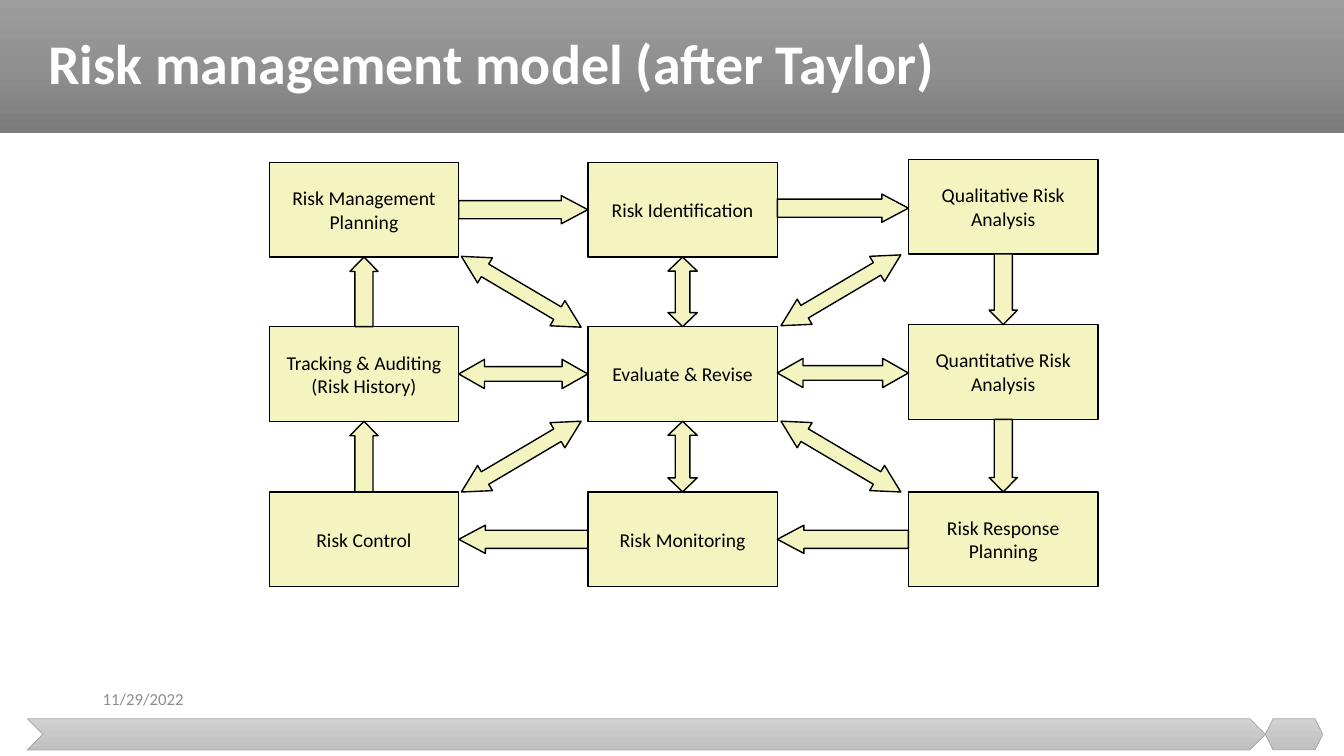
import copy
import math

import pptx
import pptx.dml.color
import pptx.enum.shapes
import pptx.enum.text
import pptx.oxml.ns
import pptx.util

Inches = pptx.util.Inches
Pt = pptx.util.Pt
SHAPE = pptx.enum.shapes.MSO_SHAPE
ALIGN = pptx.enum.text.PP_ALIGN
MIDDLE = pptx.enum.text.MSO_ANCHOR.MIDDLE

COLOURS = {
    "node": "F3F4C0",
    "ink": "000000",
    "title": "FFFFFF",
    "date": "8C8C8C",
    "footer_line": "A5A5A5",
}
BAND_STOPS = ("9D9D9D", "909090", "7C7C7C")
FOOTER_STOPS = ("D2D2D2", "C8C8C8", "C0C0C0")
FOOTER_TOP, DATE_HEIGHT = 7.13, 0.4

NODE_WIDTH, NODE_HEIGHT = 1.88, 0.94
NODES = {
    "Risk Management Planning": (2.67, 1.61),
    "Risk Identification": (5.83, 1.61),
    "Qualitative Risk Analysis": (9.01, 1.58),
    "Quantitative Risk Analysis": (9.01, 3.22),
    "Risk Response Planning": (9.01, 4.88),
    "Risk Monitoring": (5.83, 4.88),
    "Risk Control": (2.67, 4.88),
    "Tracking & Auditing (Risk History)": (2.67, 3.24),
}
HUB = "Evaluate & Revise"
HUB_PLACE = (5.83, 3.24)
DIAGONAL_LENGTH, DIAGONAL_ANGLE, DIAGONAL_SHIFT = 1.38, 30.6, -0.02


def rgb(value):
    return pptx.dml.color.RGBColor.from_string(value)


def format_text(box, size, colour, align, bold=False):
    frame = box.text_frame
    frame.word_wrap = True
    frame.vertical_anchor = MIDDLE
    for para in frame.paragraphs:
        para.alignment = align
        for span in para.runs:
            span.font.name = "Calibri"
            span.font.size = Pt(size)
            span.font.bold = bold
            span.font.color.rgb = rgb(colour)


def add_outlined(page, kind, place, line=None, width=1):
    shape = page.shapes.add_shape(kind, *map(Inches, place))
    shape.shadow.inherit = False
    if line:
        shape.line.color.rgb = rgb(line)
        shape.line.width = Pt(width)
    else:
        shape.line.fill.background()
    return shape


def fill_gradient(shape, colours):
    shape.fill.gradient()
    shape.fill.gradient_angle = 270
    stop_list = shape.element.find(".//" + pptx.oxml.ns.qn("a:gsLst"))
    stop_list.insert(1, copy.deepcopy(stop_list[0]))
    for index, (stop, colour) in enumerate(zip(shape.fill.gradient_stops, colours)):
        stop.color.rgb = rgb(colour)
        stop.position = index / 2


def add_title(page, text):
    title = page.shapes.title
    band = add_outlined(page, SHAPE.RECTANGLE, (0, 0, 13.33, 1.32))
    fill_gradient(band, BAND_STOPS)
    title.element.addprevious(band.element)
    title.left, title.top = Inches(0.38), Inches(0)
    title.width, title.height = Inches(12.74), Inches(1.32)
    title.text_frame.text = text
    title.text_frame.paragraphs[0].line_spacing = 0.9
    format_text(title, 40, COLOURS["title"], ALIGN.LEFT, bold=True)


def add_footer(page, date):
    date_top = FOOTER_TOP - DATE_HEIGHT
    box = page.shapes.add_textbox(
        Inches(0.92), Inches(date_top), Inches(3), Inches(DATE_HEIGHT)
    )
    box.text_frame.text = date
    format_text(box, 12, COLOURS["date"], ALIGN.LEFT)
    for kind, left, width in ((SHAPE.CHEVRON, 0.27, 12.28), (SHAPE.HEXAGON, 12.55, 0.57)):
        place = (left, FOOTER_TOP, width, 0.31)
        shape = add_outlined(page, kind, place, COLOURS["footer_line"], 0.5)
        fill_gradient(shape, FOOTER_STOPS)


def add_node(page, text, place):
    node = add_outlined(page, SHAPE.RECTANGLE, (*place, NODE_WIDTH, NODE_HEIGHT), COLOURS["ink"])
    node.fill.solid()
    node.fill.fore_color.rgb = rgb(COLOURS["node"])
    node.text_frame.text = text
    format_text(node, 14, COLOURS["ink"], ALIGN.CENTER)


def add_arrow(page, start, end, two_way=False):
    run, rise = end[0] - start[0], end[1] - start[1]
    centre_x = (start[0] + end[0] + NODE_WIDTH) / 2
    centre_y = (start[1] + end[1] + NODE_HEIGHT) / 2
    across, down = abs(run) > 1, abs(rise) > 1
    if across and down:
        length, head = DIAGONAL_LENGTH, 0.94
        angle = math.copysign(DIAGONAL_ANGLE, run * rise)
        centre_x += DIAGONAL_SHIFT
    elif across:
        length, head = abs(run) - NODE_WIDTH, 0.88 if two_way else 0.94
        angle = 0 if run > 0 else 180
    else:
        length, head = abs(rise) - NODE_HEIGHT, 0.48 if two_way else 0.51
        angle = 90 if rise > 0 else 270
    kind, thickness, shaft = (
        (SHAPE.LEFT_RIGHT_ARROW, 0.29, 0.5) if two_way else (SHAPE.RIGHT_ARROW, 0.28, 0.64)
    )
    place = (centre_x - length / 2, centre_y - thickness / 2, length, thickness)
    arrow = add_outlined(page, kind, place, COLOURS["ink"])
    arrow.fill.solid()
    arrow.fill.fore_color.rgb = rgb(COLOURS["node"])
    arrow.adjustments[0] = shaft
    arrow.adjustments[1] = head
    arrow.rotation = angle


def main():
    deck = pptx.Presentation()
    deck.slide_width, deck.slide_height = Inches(13.33), Inches(7.5)
    page = deck.slides.add_slide(deck.slide_layouts[5])
    add_title(page, "Risk management model (after Taylor)")
    add_footer(page, "11/29/2022")
    for text, place in NODES.items():
        add_node(page, text, place)
    add_node(page, HUB, HUB_PLACE)
    cycle = list(NODES.values())
    for start, end in zip(cycle, cycle[1:] + cycle[:1]):
        add_arrow(page, start, end)
    for place in cycle:
        add_arrow(page, HUB_PLACE, place, two_way=True)
    deck.save("out.pptx")


if __name__ == "__main__":
    main()
